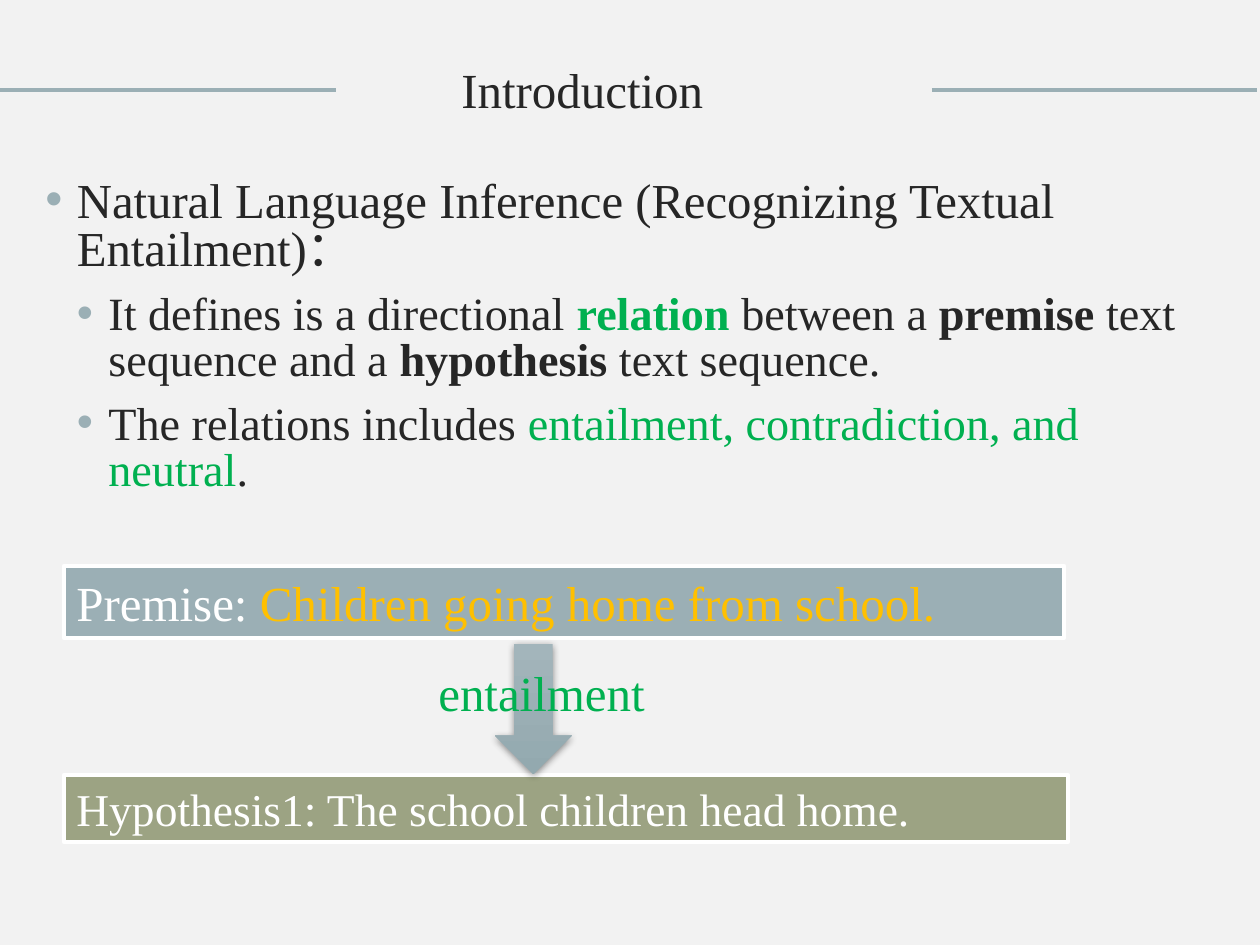
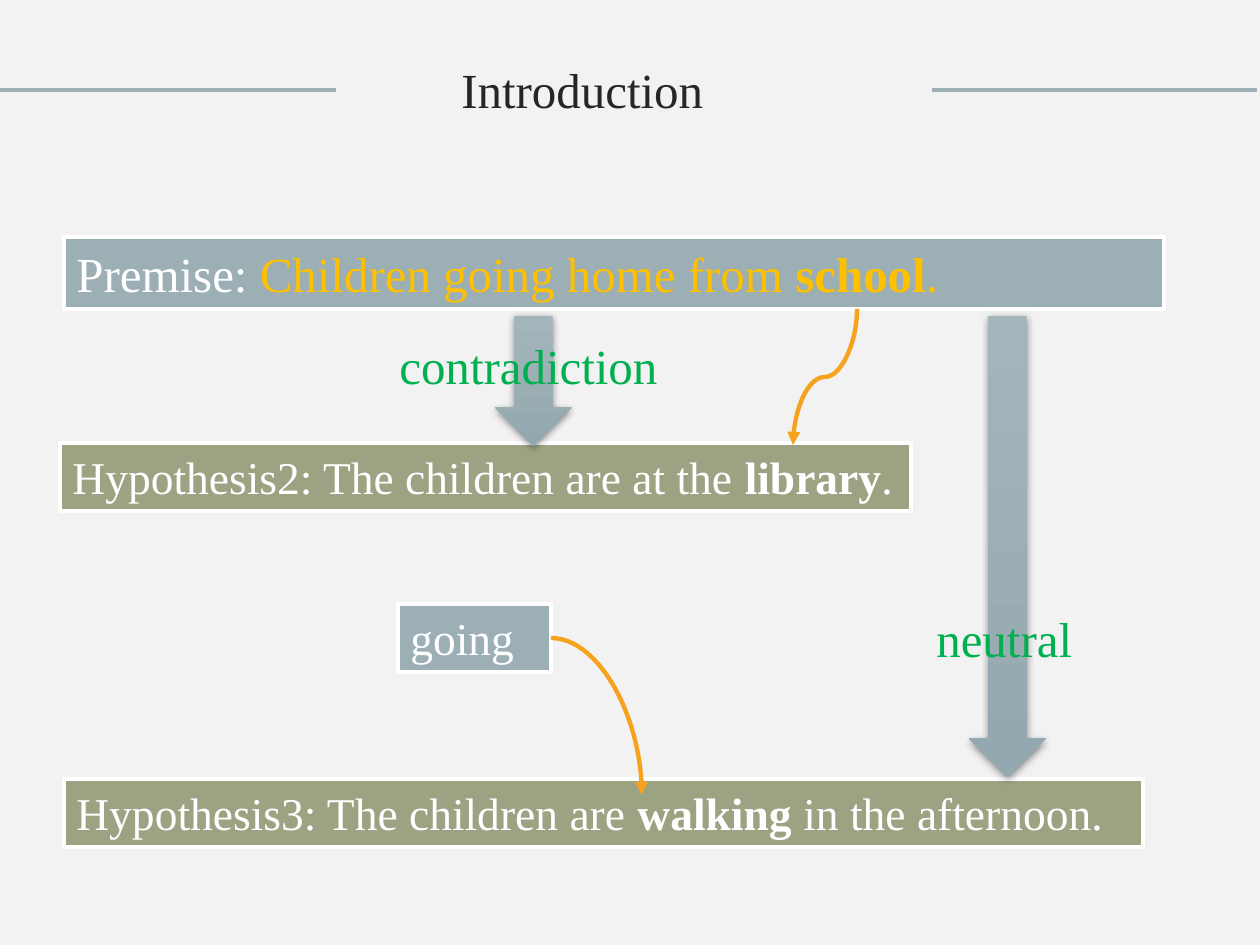
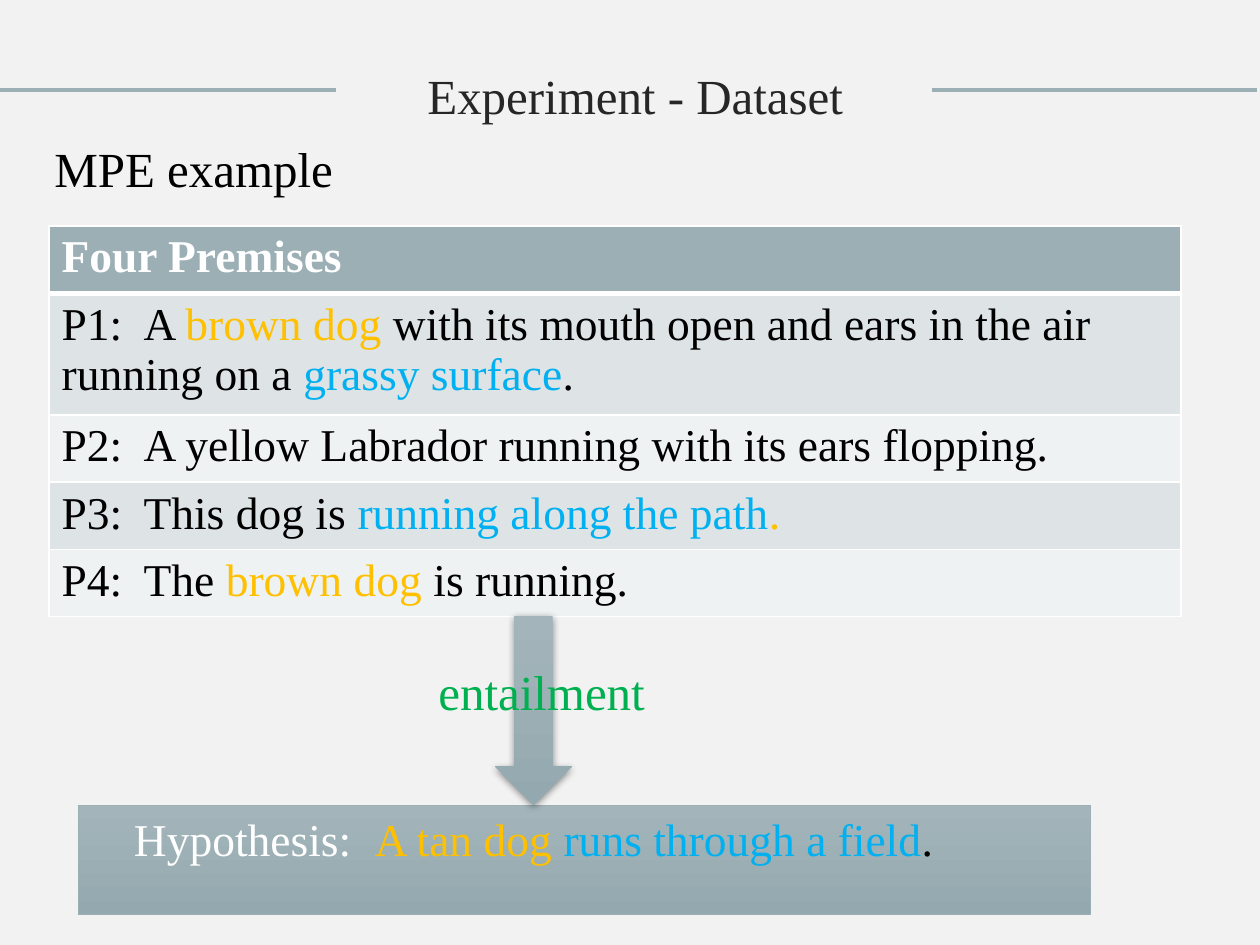
import pptx
import pptx.dml.color
import pptx.enum.dml
import pptx.enum.shapes
import pptx.enum.text
import pptx.oxml
import pptx.oxml.ns
import pptx.util
from lxml import etree

PX = 914400 / 126
FONT = "Times New Roman"
BACKGROUND, INK, BLACK, WHITE = "F2F2F2", "262626", "000000", "FFFFFF"
SLATE, OLIVE, ORANGE = "9BAFB5", "9CA383", "F6A21D"
GREEN, GOLD, SKY = "00B050", "FFC000", "00B0F0"
GRADIENT = ("A3B5BB", "93A9AF")
LARGE, MEDIUM = 28, 26
ARROW_WIDTH = 77

TITLE_RULES = [(0, 336), (932, 1257)]
TITLE_RULE_TOP = 90
INTRODUCTION = ("Introduction", (449, 53, 391, 57))
DATASET = ("Experiment - Dataset", (415, 59, 462, 57))

BODY_BOX = (33, 173, 1176, 344)
BODY = [
    (0, 27.9, [("Natural Language Inference (Recognizing Textual Entailment)：", INK)]),
    (1, 26.4, [
        ("It defines is a directional ", INK), ("relation ", GREEN, True),
        ("between a ", INK), ("premise", INK, True),
        (" text sequence and a ", INK), ("hypothesis", INK, True),
        (" text sequence.", INK),
    ]),
    (1, 26.4, [
        ("The relations includes ", INK),
        ("entailment, contradiction, and neutral", GREEN), (".", INK),
    ]),
]

ENTAILMENT_SENTENCES = [
    ((64, 566, 1000, 72), SLATE, LARGE,
     [("Premise: ", WHITE), ("Children going home from school.", GOLD)]),
    ((64, 775, 1004, 67), OLIVE, MEDIUM,
     [("Hypothesis1: The school children head home.", WHITE)]),
]
ENTAILMENT_ARROWS = [(495, 644, 130, "entailment", (426, 656, 237, 72))]

CONTRAST_SENTENCES = [
    ((64, 237, 1100, 72), SLATE, LARGE,
     [("Premise: ", WHITE), ("Children going home from ", GOLD),
      ("school", GOLD, True), (".", GOLD)]),
    ((64, 779, 1079, 68), OLIVE, MEDIUM,
     [("Hypothesis3: The children are ", WHITE), ("walking", WHITE, True),
      (" in the afternoon.", WHITE)]),
    ((60, 443, 851, 68), OLIVE, MEDIUM,
     [("Hypothesis2: The children are at the ", WHITE),
      ("library", WHITE, True), (".", WHITE)]),
    ((398, 604, 153, 68), SLATE, MEDIUM, [("going", WHITE)]),
]
CONTRAST_ARROWS = [
    (495, 316, 130, "contradiction", (387, 329, 294, 72)),
    (969, 316, 461, "neutral", (924, 602, 166, 72)),
]
WORD_LINKS = [
    ((757, 345, 136, 64), "curvedConnector3", 90),
    ((551, 638, 91, 157), "curvedConnector2", 0),
]

EXAMPLE_HEADING = ("MPE example", (42, 132, 307, 72))
TABLE_BOX = (49, 226, 1132, 260)
ROW_HEIGHT = 52
PREMISE_TAB = 82
PREMISES = [
    [("Four Premises", WHITE, True)],
    [("P1:\tA ", BLACK), ("brown dog ", GOLD),
     ("with its mouth open and ears in the air running on a ", BLACK),
     ("grassy surface", SKY), (".", BLACK)],
    [("P2:\tA yellow Labrador running with its ears flopping.", BLACK)],
    [("P3:\tThis dog is ", BLACK), ("running along the path", SKY), (".", GOLD)],
    [("P4:\tThe ", BLACK), ("brown dog ", GOLD), ("is running.", BLACK)],
]
ROW_BANDS = ["EFF2F3", "DEE3E5"]
DATASET_ARROWS = [(495, 616, 189, "entailment", (426, 655, 243, 72))]
HYPOTHESIS_BOX = (78, 805, 1012, 110)
HYPOTHESIS_INSET, HYPOTHESIS_TAB = 56, 241
HYPOTHESIS = [("Hypothesis:\t", WHITE), ("A tan dog ", GOLD),
              ("runs through a field", SKY), (".", BLACK)]


def px(length):
    return pptx.util.Emu(round(length * PX))


def place(box):
    return [px(length) for length in box]


def color(value):
    return pptx.dml.color.RGBColor.from_string(value)


def add_xml(parent, tag, **attributes):
    element = etree.SubElement(parent, pptx.oxml.ns.qn(tag))
    for name, value in attributes.items():
        element.set(name, str(value))
    return element


def set_line(line, value, width):
    line.color.rgb = color(value)
    line.width = pptx.util.Pt(width)


def write_runs(paragraph, runs, size):
    paragraph.alignment = pptx.enum.text.PP_ALIGN.LEFT
    for text, value, *bold in runs:
        run = paragraph.add_run()
        run.text = text
        run.font.name = FONT
        run.font.size = pptx.util.Pt(size)
        run.font.color.rgb = color(value)
        run.font.bold = bool(bold)


def add_tab(paragraph, position):
    tabs = add_xml(paragraph._p.get_or_add_pPr(), "a:tabLst")
    add_xml(tabs, "a:tab", pos=px(position), algn="l")


def add_bullet(paragraph, level):
    paragraph.level = level
    properties = paragraph._p.get_or_add_pPr()
    properties.set("marL", str(px(31.5 * (level + 1))))
    properties.set("indent", str(-px(31.5)))
    add_xml(add_xml(properties, "a:buClr"), "a:srgbClr", val=SLATE)
    add_xml(properties, "a:buFont", typeface="Arial")
    add_xml(properties, "a:buChar", char="•")


def add_label(slide, text, box, value):
    text_frame = slide.shapes.add_textbox(*place(box)).text_frame
    text_frame.word_wrap = False
    write_runs(text_frame.paragraphs[0], [(text, value)], LARGE)


def add_connector(slide, kind, start, end, value):
    connector = slide.shapes.add_connector(kind, *place(start + end))
    set_line(connector.line, value, 2.5)
    add_xml(connector._element.spPr, "a:effectLst")
    return connector


def add_preset(slide, preset, box):
    shape = slide.shapes.add_shape(preset, *place(box))
    shape.shadow.inherit = False
    text_frame = shape.text_frame
    text_frame.word_wrap = True
    text_frame.vertical_anchor = pptx.enum.text.MSO_ANCHOR.TOP
    return shape


def fill_gradient(shape):
    shape.fill.gradient()
    shape.fill.gradient_angle = 270
    for stop, value in zip(shape.fill.gradient_stops, GRADIENT):
        stop.color.rgb = color(value)


def add_sentences(slide, sentences):
    for box, fill, size, runs in sentences:
        shape = add_preset(slide, pptx.enum.shapes.MSO_SHAPE.RECTANGLE, box)
        shape.fill.solid()
        shape.fill.fore_color.rgb = color(fill)
        set_line(shape.line, WHITE, 2.5)
        write_runs(shape.text_frame.paragraphs[0], runs, size)


def add_arrows(slide, arrows):
    for left, top, height, label, label_box in arrows:
        arrow = add_preset(slide, pptx.enum.shapes.MSO_SHAPE.DOWN_ARROW,
                           (left, top, ARROW_WIDTH, height))
        fill_gradient(arrow)
        arrow.line.fill.background()
        effects = arrow._element.spPr.find(pptx.oxml.ns.qn("a:effectLst"))
        shadow = add_xml(effects, "a:outerShdw", blurRad=pptx.util.Pt(4.4),
                         dist=pptx.util.Pt(1.2), dir=5400000, rotWithShape=0)
        shade = add_xml(shadow, "a:srgbClr", val=BLACK)
        add_xml(shade, "a:alpha", val=45000)
        add_label(slide, label, label_box, GREEN)


def add_word_links(slide):
    for (left, top, width, height), preset, rotation in WORD_LINKS:
        link = add_connector(slide, pptx.enum.shapes.MSO_CONNECTOR.CURVE,
                             (left, top), (left + width, top + height), ORANGE)
        properties = link._element.spPr
        properties.find(pptx.oxml.ns.qn("a:prstGeom")).set("prst", preset)
        properties.find(pptx.oxml.ns.qn("a:xfrm")).set("rot", str(rotation * 60000))
        add_xml(link.line._get_or_add_ln(), "a:tailEnd", type="triangle")


def add_body(slide):
    text_frame = slide.shapes.add_textbox(*place(BODY_BOX)).text_frame
    text_frame.word_wrap = True
    for index, (level, size, runs) in enumerate(BODY):
        paragraph = text_frame.add_paragraph() if index else text_frame.paragraphs[0]
        paragraph.line_spacing = 0.83
        if index:
            paragraph.space_before = pptx.util.Pt(10)
        add_bullet(paragraph, level)
        write_runs(paragraph, runs, size)


def add_borders(cell, bottom_width):
    properties = cell._tc.get_or_add_tcPr()
    widths = {"a:lnL": 1, "a:lnR": 1, "a:lnT": 1, "a:lnB": bottom_width}
    for index, (tag, width) in enumerate(widths.items()):
        line = add_xml(properties, tag, w=pptx.util.Pt(width))
        add_xml(add_xml(line, "a:solidFill"), "a:srgbClr", val=WHITE)
        properties.insert(index, line)


def add_premise_table(slide):
    table = slide.shapes.add_table(len(PREMISES), 1, *place(TABLE_BOX)).table
    for index, runs in enumerate(PREMISES):
        table.rows[index].height = px(ROW_HEIGHT)
        cell = table.cell(index, 0)
        cell.fill.solid()
        cell.fill.fore_color.rgb = color(ROW_BANDS[index % 2] if index else SLATE)
        add_borders(cell, 1 if index else 3)
        paragraph = cell.text_frame.paragraphs[0]
        if index:
            add_tab(paragraph, PREMISE_TAB)
        write_runs(paragraph, runs, MEDIUM)


def add_hypothesis(slide):
    shape = add_preset(slide, pptx.enum.shapes.MSO_SHAPE.RECTANGLE, HYPOTHESIS_BOX)
    fill_gradient(shape)
    set_line(shape.line, SLATE, 0.5)
    shape.text_frame.margin_left = px(HYPOTHESIS_INSET)
    paragraph = shape.text_frame.paragraphs[0]
    add_tab(paragraph, HYPOTHESIS_TAB)
    write_runs(paragraph, HYPOTHESIS, MEDIUM)


def add_slide(presentation, title):
    slide = presentation.slides.add_slide(presentation.slide_layouts[6])
    for left, right in TITLE_RULES:
        add_connector(slide, pptx.enum.shapes.MSO_CONNECTOR.STRAIGHT,
                      (left, TITLE_RULE_TOP), (right, TITLE_RULE_TOP), SLATE)
    add_label(slide, *title, INK)
    return slide


def main():
    presentation = pptx.Presentation()
    presentation.slide_width, presentation.slide_height = place((1260, 945))
    background = presentation.slide_master.background.fill
    background.solid()
    background.fore_color.rgb = color(BACKGROUND)

    slide = add_slide(presentation, INTRODUCTION)
    add_body(slide)
    add_sentences(slide, ENTAILMENT_SENTENCES)
    add_arrows(slide, ENTAILMENT_ARROWS)

    slide = add_slide(presentation, INTRODUCTION)
    add_sentences(slide, CONTRAST_SENTENCES)
    add_arrows(slide, CONTRAST_ARROWS)
    add_word_links(slide)

    slide = add_slide(presentation, DATASET)
    add_hypothesis(slide)
    add_premise_table(slide)
    add_arrows(slide, DATASET_ARROWS)
    add_label(slide, *EXAMPLE_HEADING, BLACK)

    presentation.save("out.pptx")


if __name__ == "__main__":
    main()
